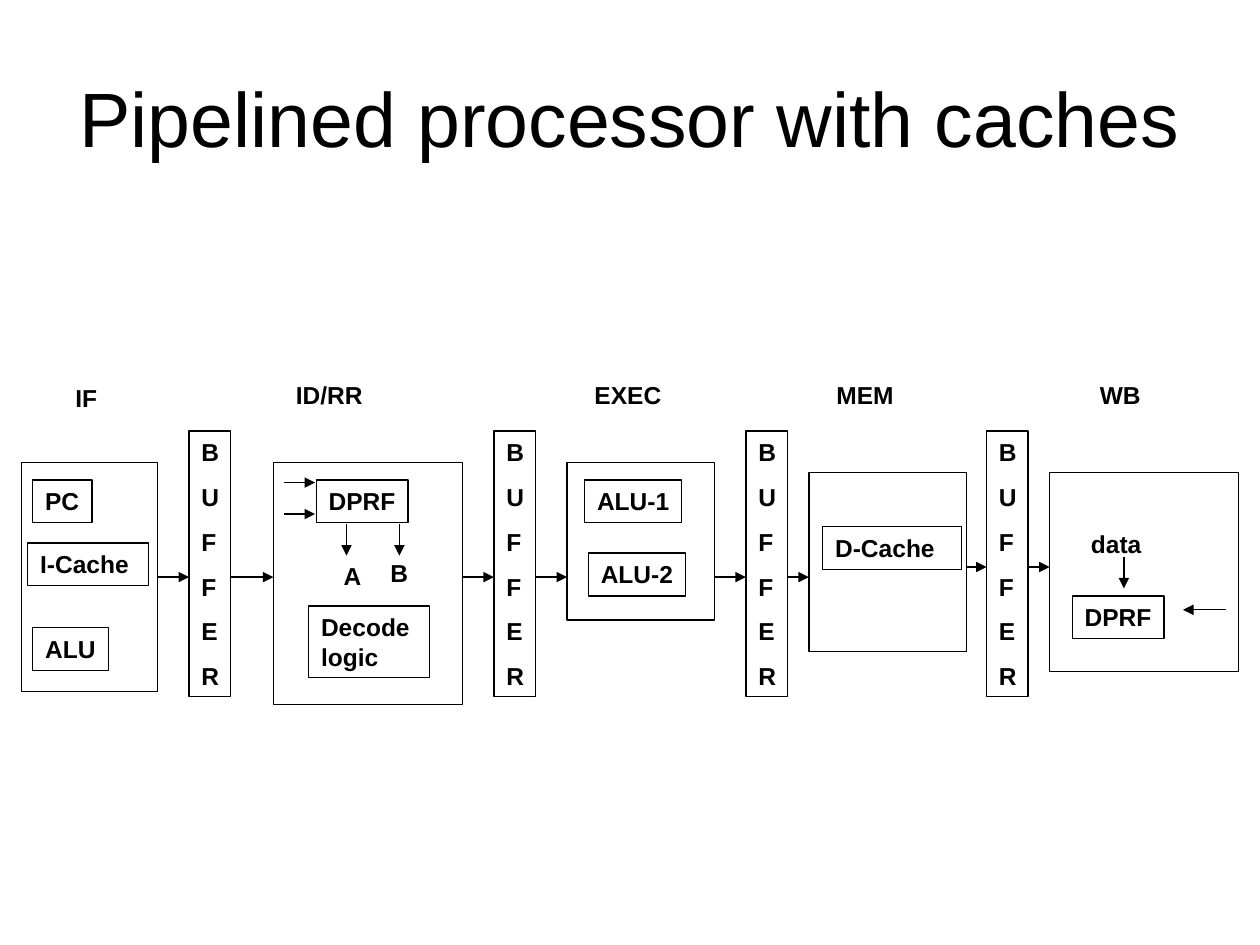
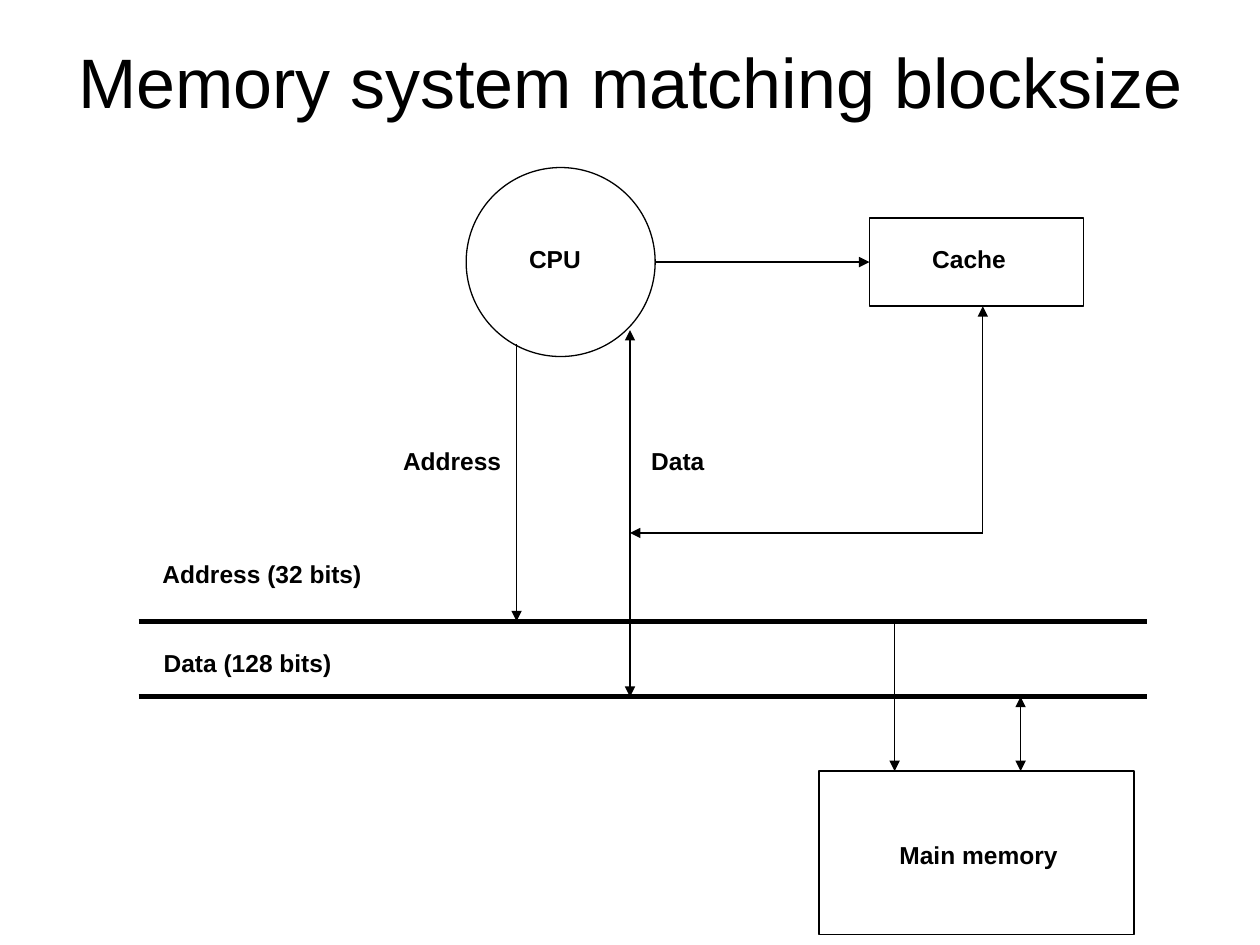
"""Build two slides: a pipelined processor with caches and its memory system."""
import itertools

import pptx
import pptx.dml.color
import pptx.enum.shapes
import pptx.enum.text
import pptx.oxml.ns
import pptx.util
from lxml import etree

Inches = pptx.util.Inches
Pt = pptx.util.Pt
Shapes = pptx.enum.shapes.MSO_SHAPE

COLORS = {"ink": "000000"}
FONT = "Arial"
LABEL_HEIGHT = 0.34
THIN, BUS = 0.75, 3

PIPELINE_TITLE = {"text": "Pipelined processor with caches", "height": 1.25, "size": 44}
MEMORY_TITLE = {"text": "Memory system matching blocksize", "height": 0.68, "size": 40}

STAGES = [
    {"name": "IF", "label": (0.5, 2.99), "frame": (0.17, 3.67, 1.08, 1.82)},
    {"name": "ID/RR", "label": (2.25, 2.97), "frame": (2.17, 3.67, 1.5, 1.92)},
    {"name": "EXEC", "label": (4.62, 2.97), "frame": (4.5, 3.67, 1.17, 1.25)},
    {"name": "MEM", "label": (6.54, 2.97), "frame": (6.42, 3.75, 1.25, 1.42)},
    {"name": "WB", "label": (8.63, 2.97), "frame": (8.33, 3.75, 1.5, 1.58)},
]
UNITS = [
    ("PC", 0.26, 3.81, 0.47),
    ("I-Cache", 0.22, 4.31, 0.96),
    ("ALU", 0.26, 4.98, 0.6),
    ("DPRF", 2.51, 3.81, 0.73),
    ("Decode\nlogic", 2.45, 4.81, 0.96),
    ("ALU-1", 4.64, 3.81, 0.77),
    ("ALU-2", 4.67, 4.39, 0.77),
    ("D-Cache", 6.53, 4.18, 1.1),
    ("DPRF", 8.51, 4.73, 0.73),
]
OPERANDS = [("A", 2.63, 4.4), ("B", 3, 4.38), ("data", 8.56, 4.15)]
REGISTER_ARROWS = [
    ((2.25, 3.83), (2.5, 3.83)),
    ((2.25, 4.08), (2.5, 4.08)),
    ((2.75, 4.16), (2.75, 4.41)),
    ((3.17, 4.16), (3.17, 4.41)),
    ((8.92, 4.42), (8.92, 4.67)),
    ((9.73, 4.84), (9.39, 4.84)),
]
BUFFER_LEFTS = [1.5, 3.92, 5.92, 7.83]
BUFFER_TOP, BUFFER_WIDTH, BUFFER_HEIGHT = 3.42, 0.33, 2.11
FLOW_LEVELS = [4.58, 4.58, 4.58, 4.5]

CPU = (3.7, 1.33, 1.5, 1.5)
CACHE = (6.9, 1.73, 1.7, 0.7)
MAIN_MEMORY = (6.5, 6.12, 2.5, 1.3)
BUS_LEFT, BUS_RIGHT = 1.1, 9.1
ADDRESS_BUS, DATA_BUS = 4.93, 5.53
DATA_X, CACHE_X, CACHE_TURN = 5, 7.8, 4.23
MEMORY_LABELS = [
    ("CPU", 4.1, 1.89),
    ("Cache", 7.3, 1.89),
    ("Main memory", 7.04, 6.62),
    ("Address", 3.1, 3.49),
    ("Data", 5.07, 3.49),
    ("Address (32 bits)", 1.19, 4.39),
    ("Data (128 bits)", 1.2, 5.09),
]
MEMORY_ARROWS = [
    ((4.1, 2.73), (4.1, ADDRESS_BUS), ("tail",)),
    ((7.1, ADDRESS_BUS), (7.1, MAIN_MEMORY[1]), ("tail",)),
    ((8.1, DATA_BUS), (8.1, MAIN_MEMORY[1]), ("head", "tail")),
    ((DATA_X, 2.62), (DATA_X, DATA_BUS), ("head", "tail")),
    ((DATA_X, CACHE_TURN), (CACHE_X, CACHE_TURN), ("head",)),
    ((CACHE_X, CACHE[1] + CACHE[3]), (CACHE_X, CACHE_TURN), ("head",)),
]


def ink():
    return pptx.dml.color.RGBColor.from_string(COLORS["ink"])


def set_all(target, values):
    for name, value in values.items():
        setattr(target, name, value)


def write(shape, lines, size=14, bold=True, align="LEFT", anchor="TOP", gap=0):
    frame = shape.text_frame
    set_all(frame, {
        "word_wrap": True,
        "vertical_anchor": getattr(pptx.enum.text.MSO_ANCHOR, anchor),
        "margin_left": Inches(0.1), "margin_right": 0,
        "margin_top": Inches(0.05), "margin_bottom": Inches(0.05),
    })
    frame.text = "\n".join(lines)
    for index, paragraph in enumerate(frame.paragraphs):
        paragraph.alignment = getattr(pptx.enum.text.PP_ALIGN, align)
        if index and gap:
            paragraph.space_before = Pt(gap)
        set_all(paragraph.font, {"name": FONT, "size": Pt(size), "bold": bold})
        paragraph.font.color.rgb = ink()


def add_title(slide, title):
    shape = slide.shapes.add_textbox(Inches(0.5), Inches(0.3), Inches(9), Inches(title["height"]))
    write(shape, [title["text"]], title["size"], False, "CENTER", "MIDDLE")
    shape.text_frame.margin_right = Inches(0.1)


def add_label(slide, text, left, top):
    width = 0.35 + 0.12 * len(text)
    shape = slide.shapes.add_textbox(Inches(left), Inches(top), Inches(width), Inches(LABEL_HEIGHT))
    write(shape, [text])


def add_outline(slide, box, kind=Shapes.RECTANGLE):
    shape = slide.shapes.add_shape(kind, *map(Inches, box))
    shape.shadow.inherit = False
    shape.fill.background()
    shape.line.color.rgb = ink()
    shape.line.width = Pt(THIN)
    return shape


def add_line(slide, start, end, ends=("tail",), width=THIN):
    line = slide.shapes.add_connector(
        pptx.enum.shapes.MSO_CONNECTOR.STRAIGHT, *map(Inches, (*start, *end)))
    line.line.color.rgb = ink()
    line.line.width = Pt(width)
    outline = line.line._get_or_add_ln()
    for name in ends:
        etree.SubElement(outline, pptx.oxml.ns.qn(f"a:{name}End"), type="triangle")
    etree.SubElement(outline.getparent(), pptx.oxml.ns.qn("a:effectLst"))
    return line


def build_pipeline(slide):
    add_title(slide, PIPELINE_TITLE)
    frames = []
    for stage in STAGES:
        frames.append(add_outline(slide, stage["frame"]))
        add_label(slide, stage["name"], *stage["label"])
    for text, left, top, width in UNITS:
        lines = text.split("\n")
        height = LABEL_HEIGHT + 0.23 * (len(lines) - 1)
        write(add_outline(slide, (left, top, width, height)), lines)
    for operand in OPERANDS:
        add_label(slide, *operand)
    for start, end in REGISTER_ARROWS:
        add_line(slide, start, end)
    flows = []
    neighbours = itertools.pairwise(stage["frame"] for stage in STAGES)
    for left, level, (before, after) in zip(BUFFER_LEFTS, FLOW_LEVELS, neighbours):
        buffer = add_outline(slide, (left, BUFFER_TOP, BUFFER_WIDTH, BUFFER_HEIGHT))
        write(buffer, list("BUFFER"), gap=8.8)
        flows.append(add_line(slide, (before[0] + before[2], level), (left, level)))
        add_line(slide, (left + BUFFER_WIDTH, level), (after[0], level))
    flows[0].begin_connect(frames[0], 3)


def build_memory(slide):
    add_title(slide, MEMORY_TITLE)
    add_outline(slide, CPU, Shapes.OVAL)
    cache = add_outline(slide, CACHE)
    add_outline(slide, MAIN_MEMORY)
    for level in (ADDRESS_BUS, DATA_BUS):
        add_line(slide, (BUS_LEFT, level), (BUS_RIGHT, level), (), BUS)
    middle = CPU[1] + CPU[3] / 2
    request = add_line(slide, (CPU[0] + CPU[2], middle), (CACHE[0], middle))
    request.end_connect(cache, 1)
    for arrow in MEMORY_ARROWS:
        add_line(slide, *arrow)
    for label in MEMORY_LABELS:
        add_label(slide, *label)


def main():
    presentation = pptx.Presentation()
    presentation.slide_width = Inches(10)
    presentation.slide_height = Inches(7.5)
    for build in (build_pipeline, build_memory):
        build(presentation.slides.add_slide(presentation.slide_layouts[6]))
    presentation.save("out.pptx")


if __name__ == "__main__":
    main()
